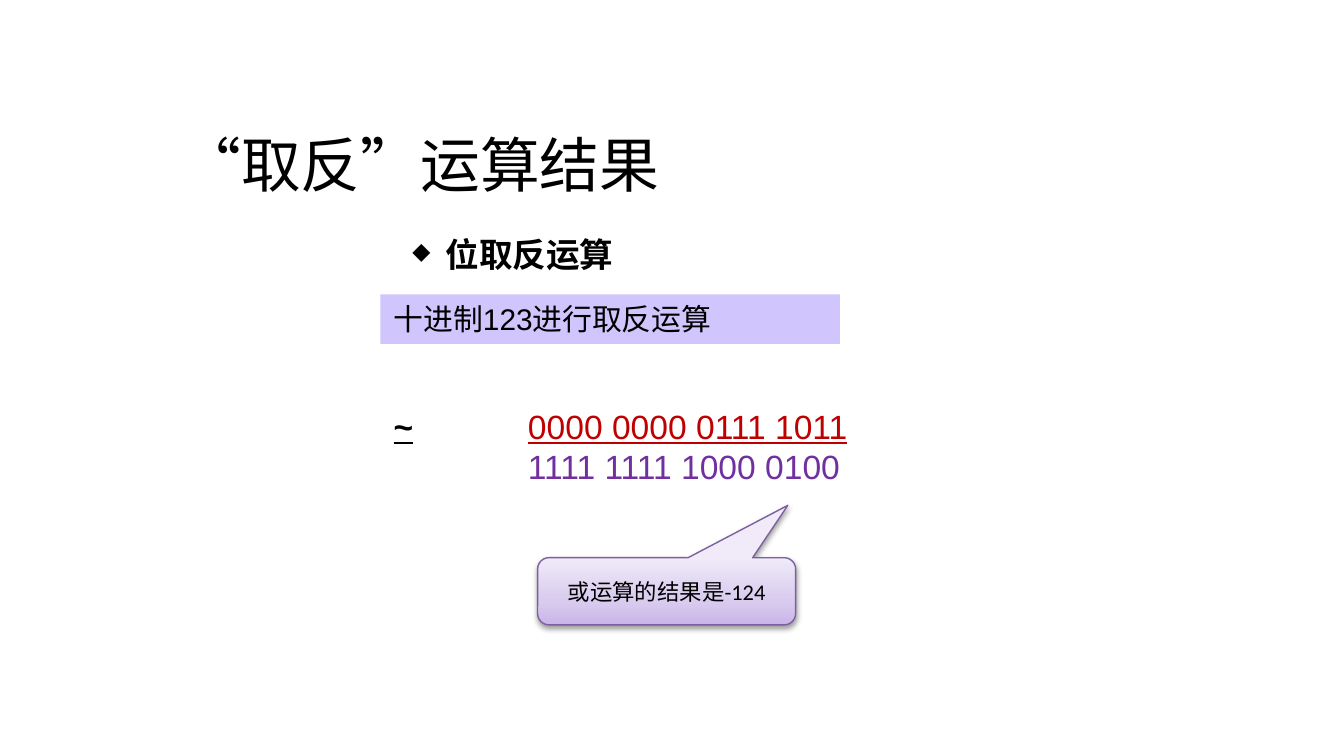
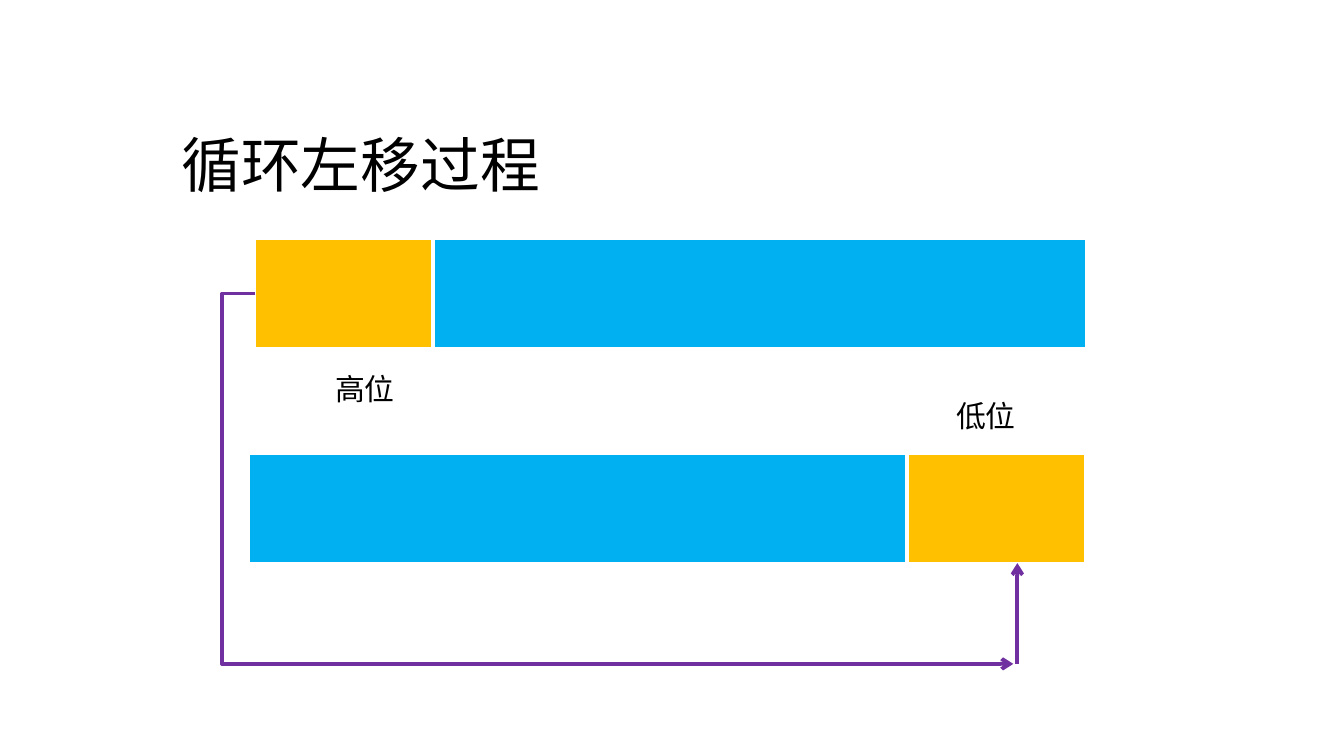
import pptx
import pptx.util
import pptx.dml.color
import pptx.enum.shapes
import pptx.enum.text
import pptx.oxml
import pptx.oxml.ns

Inches, Pt = pptx.util.Inches, pptx.util.Pt
RGB = pptx.dml.color.RGBColor
KIND = pptx.enum.shapes.MSO_SHAPE
LINK = pptx.enum.shapes.MSO_CONNECTOR
ALIGN = pptx.enum.text.PP_ALIGN
ANCHOR = pptx.enum.text.MSO_ANCHOR
FIT = pptx.enum.text.MSO_AUTO_SIZE
qn = pptx.oxml.ns.qn

BLACK = RGB(0, 0, 0)
WHITE = RGB(255, 255, 255)
RED = RGB(0xC0, 0, 0)
PURPLE = RGB(0x70, 0x30, 0xA0)
LILAC = RGB(0xD0, 0xC5, 0xFD)
MAUVE = RGB(0x7D, 0x60, 0xA0)
BLUE = RGB(0, 0xB0, 0xF0)
GOLD = RGB(0xFF, 0xC0, 0)

# Content
NOT_TITLE = "“取反”运算结果"
NOT_HEAD = "位取反运算"
NOT_TASK = "十进制123进行取反运算"
NOT_NOTE = "或运算的结果是-124"
# Rows of runs: text, colour, bold, underline
NOT_BITS = [
    [("~", BLACK, True, True), ("\t", BLACK, False, True),
     ("0000 0000 0111 1011", RED, False, True)],
    [("\t", BLACK, False, False),
     ("1111 1111 1000 0100", PURPLE, False, False)],
]
NOTE_STOPS = [(0, "C9B5E8"), (35, "D8CBEE"), (100, "F0EAF9")]

ROT_TITLE = "循环左移过程"
# Word: top, left of the long part, left of the moved part
WORDS = [(1.77, 1.92, 1.89), (3.37, 1.85, 6.75)]
LONG, MOVED, HIGH = 6.17, 1.33, 0.83
LABELS = [("高位", 2.34, 2.81), ("低位", 6.96, 3.01)]
LOOP_X, LOOP_Y = 1.65, 4.94


def add(tag, parent, **attrs):
    node = pptx.oxml.parse_xml(f"<a:{tag} {pptx.oxml.ns.nsdecls('a')}/>")
    for key, val in attrs.items():
        node.set(key, str(val))
    parent.append(node)
    return node


def style(para, size, face, color=BLACK):
    font = para.font
    font.size, font.name = Pt(size), face
    font.color.rgb = color


def new_slide(deck, text):
    slide = deck.slides.add_slide(deck.slide_layouts[5])
    title = slide.shapes.title
    title.left, title.top, title.width, title.height = map(
        Inches, (1.25, 0.9, 6.08, 0.67))
    frame = title.text_frame
    frame.text = text
    frame.auto_size = FIT.NONE
    frame.vertical_anchor = ANCHOR.TOP
    frame.paragraphs[0].alignment = ALIGN.LEFT
    style(frame.paragraphs[0], 32, "Calibri")
    return slide


def box(shapes, at, fill=None, line=None, width=2, kind=KIND.RECTANGLE):
    shape = shapes.add_shape(kind, *map(Inches, at))
    shape.shadow.inherit = False
    if fill is not None:
        shape.fill.solid()
        shape.fill.fore_color.rgb = fill
    if line is None:
        shape.line.fill.background()
    else:
        shape.line.color.rgb = line
        shape.line.width = Pt(width)
    return shape


def write(shape, text, size, face, align=ALIGN.CENTER, anchor=ANCHOR.MIDDLE):
    frame = shape.text_frame
    frame.text = text
    frame.word_wrap = True
    frame.vertical_anchor = anchor
    frame.paragraphs[0].alignment = align
    style(frame.paragraphs[0], size, face)
    return frame


def arrow(slide, kind, start, end):
    link = slide.shapes.add_connector(kind, *map(Inches, start + end))
    link.line.color.rgb = PURPLE
    link.line.width = Pt(2)
    add("tailEnd", link.line._get_or_add_ln(), type="arrow")
    add("effectLst", link._element.spPr)
    return link


def build_not(deck):
    slide = new_slide(deck, NOT_TITLE)
    shapes = slide.shapes

    # Bits before and after
    frame = shapes.add_textbox(
        *map(Inches, (2.83, 2.97, 3.61, 0.71))).text_frame
    frame.word_wrap = False
    frame.auto_size = FIT.SHAPE_TO_FIT_TEXT
    for i, row in enumerate(NOT_BITS):
        para = frame.add_paragraph() if i else frame.paragraphs[0]
        tabs = add("tabLst", para._p.get_or_add_pPr())
        add("tab", tabs, pos=Inches(1), algn="l")
        style(para, 18, "Arial")
        for text, color, bold, under in row:
            run = para.add_run()
            run.text = text
            run.font.color.rgb = color
            run.font.bold, run.font.underline = bold, under

    # Task bar
    bar = box(shapes, (2.83, 2.19, 3.42, 0.37), LILAC)
    write(bar, NOT_TASK, 16, "Arial", ALIGN.LEFT,
          ANCHOR.TOP).auto_size = FIT.SHAPE_TO_FIT_TEXT

    # Callout with gradient and shadow
    note = box(shapes, (4, 4.15, 1.92, 0.5), None, MAUVE, 0.75,
               KIND.ROUNDED_RECTANGULAR_CALLOUT)
    for i, val in enumerate((0.47, -1.28, 0.17)):
        note.adjustments[i] = val
    note.fill.gradient()
    note.fill.gradient_angle = 90
    props = note._element.spPr
    stops = props.find(qn("a:gradFill")).find(qn("a:gsLst"))
    for stop in list(stops):
        stops.remove(stop)
    for pos, color in NOTE_STOPS:
        add("srgbClr", add("gs", stops, pos=pos * 1000), val=color)
    shade = add("outerShdw", props.find(qn("a:effectLst")),
                blurRad=Pt(3.1), dist=Pt(1.6), dir=5400000, rotWithShape=0)
    add("alpha", add("srgbClr", shade, val="000000"), val=38000)
    write(note, NOT_NOTE, 12, "Calibri")

    # Bulleted heading
    frame = shapes.add_textbox(
        *map(Inches, (2.92, 1.69, 1.83, 0.4))).text_frame
    frame.word_wrap = True
    frame.auto_size = FIT.SHAPE_TO_FIT_TEXT
    para = frame.paragraphs[0]
    props = para._p.get_or_add_pPr()
    props.set("marL", str(Inches(0.24)))
    props.set("indent", str(Inches(-0.19)))
    add("buSzPct", props, val=70000)
    add("buChar", props, char="◆")
    style(para, 18, "Arial")
    para.add_run().text = " "
    head = para.add_run()
    head.text = NOT_HEAD
    head.font.bold = True


def build_rotate(deck):
    slide = new_slide(deck, ROT_TITLE)

    # Words before and after the shift
    for top, long_x, moved_x in WORDS:
        group = slide.shapes.add_group_shape().shapes
        box(group, (long_x, top, LONG, HIGH), BLUE, WHITE)
        box(group, (moved_x, top, MOVED, HIGH), GOLD, WHITE)

    for text, left, top in LABELS:
        label = box(slide.shapes, (left, top, 0.75, 0.17), WHITE, WHITE)
        write(label, text, 16, "Calibri")

    # Path of the moved bits
    start, end = (1.9, WORDS[0][0] + HIGH / 2), (7.54, LOOP_Y)
    loop = arrow(slide, LINK.ELBOW, start, end)
    turn = (LOOP_X - start[0]) / (end[0] - start[0])
    geom = loop._element.spPr.find(qn("a:prstGeom"))
    guides = geom.find(qn("a:avLst"))
    if guides is None:
        guides = add("avLst", geom)
    add("gd", guides, name="adj1", fmla=f"val {round(turn * 100000)}")
    arrow(slide, LINK.STRAIGHT, (7.57, LOOP_Y), (7.57, 4.19))


def main():
    deck = pptx.Presentation()
    deck.slide_width = Inches(10)
    deck.slide_height = deck.slide_width * 9 // 16
    build_not(deck)
    build_rotate(deck)
    deck.save("out.pptx")


if __name__ == "__main__":
    main()
